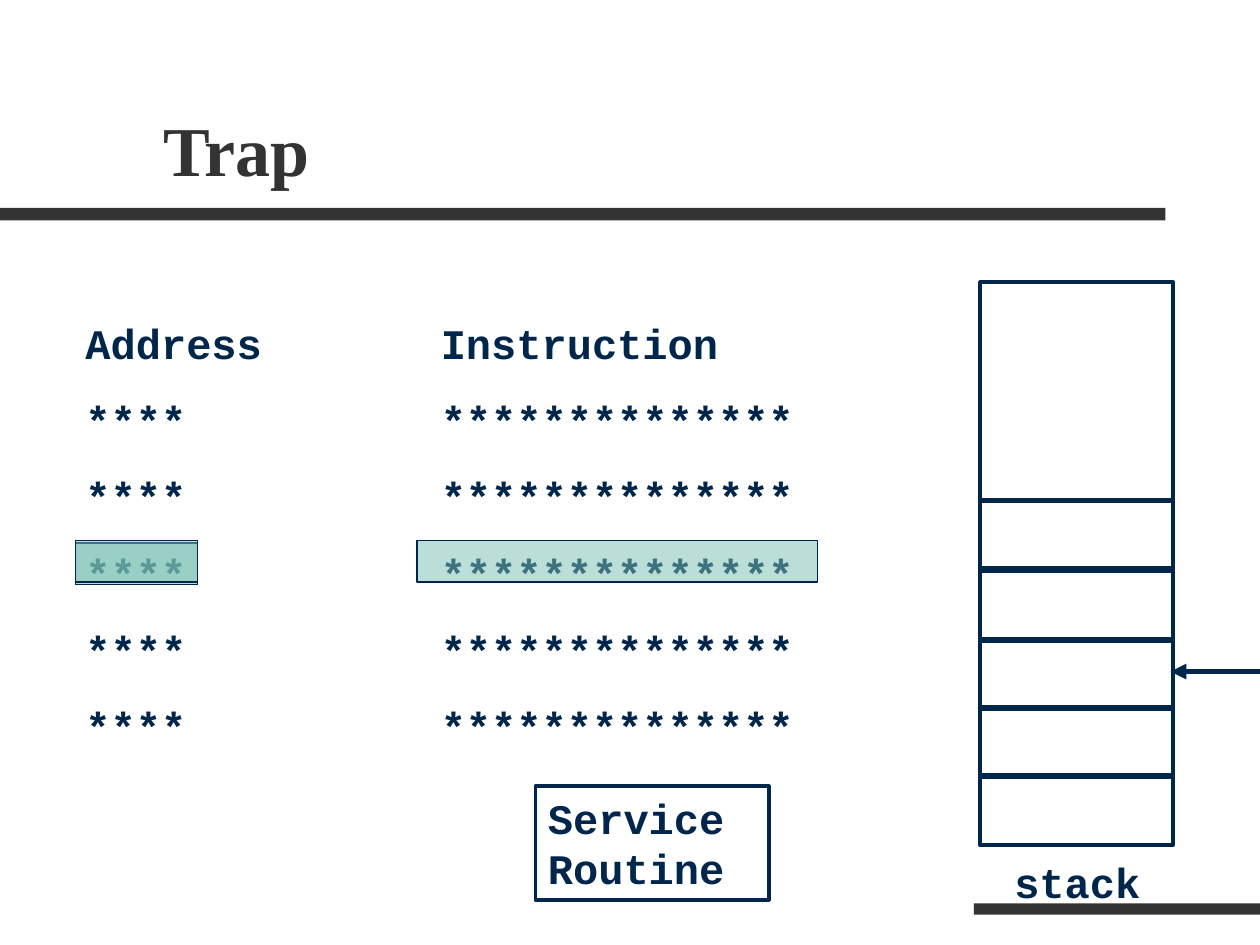
from lxml.etree import SubElement
from pptx import Presentation
from pptx.dml.color import RGBColor
from pptx.enum.shapes import MSO_CONNECTOR, MSO_SHAPE
from pptx.enum.text import MSO_ANCHOR, PP_ALIGN
from pptx.oxml.ns import qn
from pptx.util import Inches, Pt

NAVY = RGBColor(0x00, 0x26, 0x4C)
GREY = RGBColor(0x33, 0x33, 0x33)
TEAL = RGBColor(0x78, 0xC0, 0xB2)

BODY = {"name": "Courier New", "size": Pt(24), "bold": True}
TITLE = {"name": "Times New Roman", "size": Pt(40), "bold": True}

RULES = [(0, 1.65, 9.25, 0.1), (7.73, 7.17, 2.27, 0.09)]
COLUMNS = [
    ("Address", "****", (0.58, 2.47, 1.67, 3.54)),
    ("Instruction", "**************", (3.4, 2.47, 3.14, 3.54)),
]
ROWS = 5
STACK_LEFT, STACK_WIDTH = 7.78, 1.53
STACK_CELLS = [(6.15, 0.56), (5.61, 0.56), (5.07, 0.56), (4.53, 0.56),
               (4.51, 0.56), (3.97, 0.56), (2.24, 1.74)]
HIGHLIGHTS = [(3.31, 4.29, 3.18, 0.33), (0.6, 4.31, 0.97, 0.33), (0.6, 4.29, 0.97, 0.33)]


def place(area):
    return [Inches(value) for value in area]


def add_box(page, area, fill=None, line=None, alpha=None):
    """Add a rectangle; line is a width in points, alpha a percentage."""
    box = page.shapes.add_shape(MSO_SHAPE.RECTANGLE, *place(area))
    box.shadow.inherit = False
    if fill is None:
        box.fill.background()
    else:
        box.fill.solid()
        box.fill.fore_color.rgb = fill
    if alpha is not None:
        color = box.fill._xPr.find(qn("a:solidFill"))[0]
        SubElement(color, qn("a:alpha"), val=str(alpha * 1000))
    if line is None:
        box.line.fill.background()
    else:
        box.line.color.rgb = NAVY
        box.line.width = Pt(line)
    return box


def write(box, lines, style=BODY, color=NAVY, align=PP_ALIGN.LEFT,
          anchor=MSO_ANCHOR.TOP, before=15):
    frame = box.text_frame
    frame.word_wrap = True
    frame.vertical_anchor = anchor
    for index, line in enumerate(lines):
        para = frame.paragraphs[0] if index == 0 else frame.add_paragraph()
        para.alignment = align
        para.space_before = Pt(before)
        span = para.add_run()
        span.text = line
        span.font.color.rgb = color
        for name, value in style.items():
            setattr(span.font, name, value)


def add_text(page, area, lines, **options):
    write(page.shapes.add_textbox(*place(area)), lines, **options)


def add_pointer(page, start, end):
    arrow = page.shapes.add_connector(MSO_CONNECTOR.STRAIGHT, *place(start + end))
    arrow.line.color.rgb = NAVY
    arrow.line.width = Pt(3)
    SubElement(arrow.line._get_or_add_ln(), qn("a:tailEnd"), type="triangle")
    SubElement(arrow._element.spPr, qn("a:effectLst"))


def main():
    deck = Presentation()
    deck.slide_width, deck.slide_height = Inches(10), Inches(7.5)
    page = deck.slides.add_slide(deck.slide_layouts[6])

    for area in RULES:
        add_box(page, area, fill=GREY)
    add_text(page, (1.2, 0.31, 8.5, 1.25), ["Trap"], style=TITLE, color=GREY,
             anchor=MSO_ANCHOR.BOTTOM, before=0)

    for heading, entry, area in COLUMNS:
        add_text(page, area, [heading] + [entry] * ROWS)
    routine = add_box(page, (4.25, 6.24, 1.85, 0.9), line=2.25)
    write(routine, ["Service Routine"])

    for top, height in STACK_CELLS:
        add_box(page, (STACK_LEFT, top, STACK_WIDTH, height), line=2.25)
    add_text(page, (7.78, 6.75, 1.54, 0.5), ["stack"], align=PP_ALIGN.CENTER)
    add_pointer(page, (10, 5.33), (9.29, 5.33))

    for area in HIGHLIGHTS:
        add_box(page, area, fill=TEAL, line=0.75, alpha=50)
    deck.save("out.pptx")


if __name__ == "__main__":
    main()
